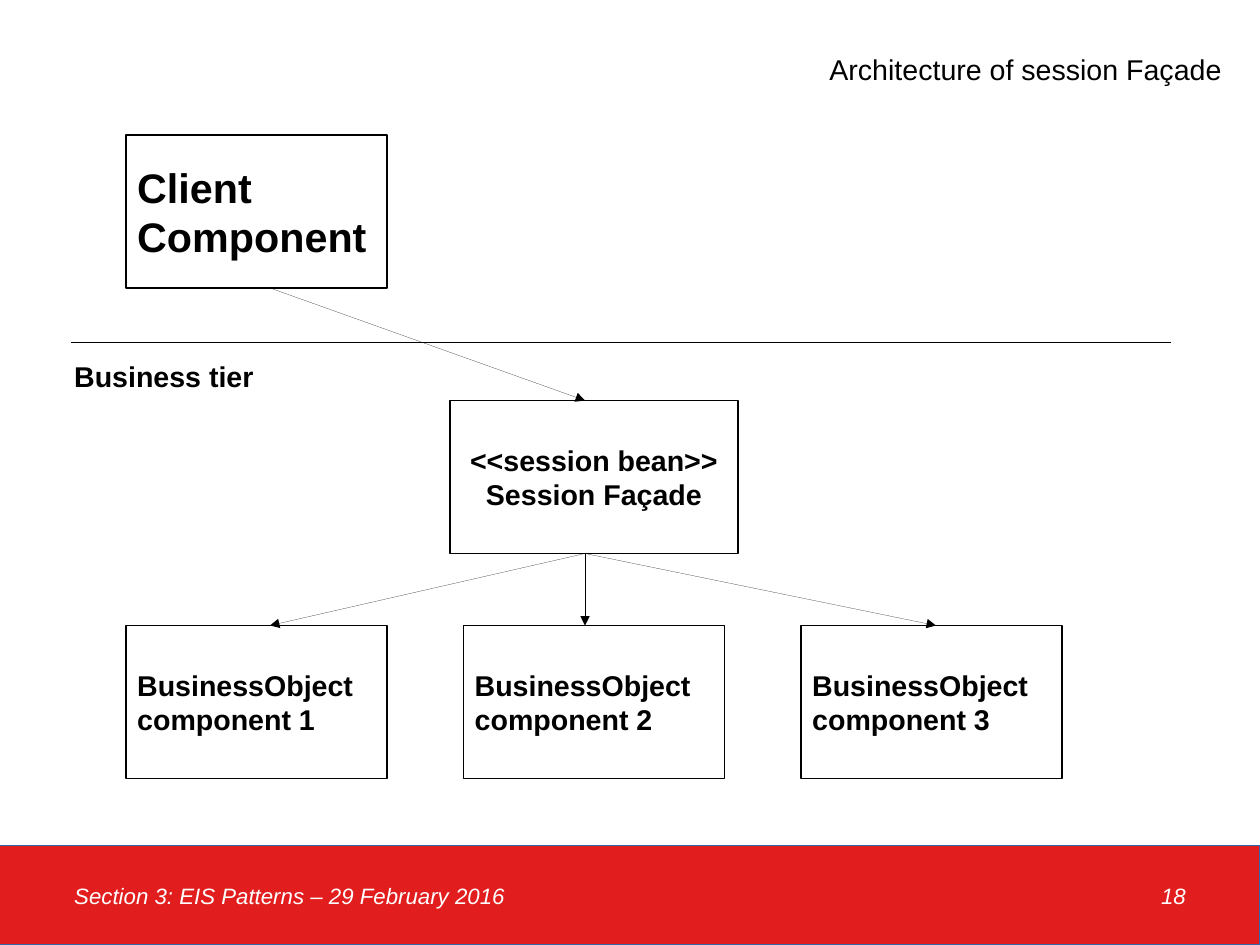
import pptx
import pptx.util
import pptx.dml.color
import pptx.enum.shapes
import pptx.enum.text
import pptx.oxml.ns
import lxml.etree

PX = 9000  # EMU per px, a quarter of a millimetre
ALIGN = pptx.enum.text.PP_ALIGN
ANCHOR = pptx.enum.text.MSO_ANCHOR
BLACK, WHITE, RED, BLUE = "000000", "FFFFFF", "E11D1E", "3465A4"


def px(*lengths):
    return [pptx.util.Emu(n * PX) for n in lengths]


def color(value):
    return pptx.dml.color.RGBColor.from_string(value)


def write(sp, text, size, align=ALIGN.LEFT, anchor=ANCHOR.TOP, wrap=True,
          ink=BLACK, **style):
    """Line feeds start paragraphs, vertical tabs break lines."""
    tf = sp.text_frame
    tf.text = text
    tf.word_wrap, tf.vertical_anchor = wrap, anchor
    font = {"name": "Arial", "size": pptx.util.Pt(size), **style}
    for p in tf.paragraphs:
        p.alignment = align
        for r in p.runs:
            for key, value in font.items():
                setattr(r.font, key, value)
            r.font.color.rgb = color(ink)


def label(s, box, text, size, **style):
    write(s.shapes.add_textbox(*px(*box)), text, size, **style)


def stroke(sp, ink, width):
    """The width is written even when it is 0, a hairline."""
    sp.line.color.rgb = color(ink)
    ln = sp.line._get_or_add_ln()
    ln.set("w", str(pptx.util.Pt(width)))
    return ln


def rect(s, box, fill, ink, width):
    sp = s.shapes.add_shape(pptx.enum.shapes.MSO_SHAPE.RECTANGLE, *px(*box))
    sp.shadow.inherit = False
    sp.fill.solid()
    sp.fill.fore_color.rgb = color(fill)
    stroke(sp, ink, width)
    return sp


def component(s, box, text, size=18, align=ALIGN.LEFT):
    sp = rect(s, box, WHITE, BLACK, 0.79)
    write(sp, text, size, align, ANCHOR.MIDDLE, wrap=False, bold=True)


def line(s, start, end, arrow=False):
    c = s.shapes.add_connector(pptx.enum.shapes.MSO_CONNECTOR.STRAIGHT,
                               *px(*start, *end))
    ln = stroke(c, BLACK, 0)
    qn = pptx.oxml.ns.qn
    if arrow:
        lxml.etree.SubElement(ln, qn("a:tailEnd"), type="triangle")
    lxml.etree.SubElement(c._element.spPr, qn("a:effectLst"))


def footer(s, x, y, w, h):
    rect(s, (x, y, w, h), RED, BLUE, 0)
    style = {"anchor": ANCHOR.MIDDLE, "ink": WHITE, "italic": True}
    label(s, (x + 713, y, 351, h), "18", 14, align=ALIGN.RIGHT, **style)
    label(s, (x + 56, y, 632, h),
          "Section 3: EIS Patterns – 29 February 2016", 14, **style)


def client_tier(s, x, y, w, h):
    component(s, (x, y, w, h), "Client \vComponent", 26)


def business_tier(s, x, y, w, h):
    box_w, box_h, step = 232, 136, 300
    facade_y, row_y = y + 52, y + h - box_h

    # Session facade
    component(s, (x + 344, facade_y, 256, box_h),
              "<<session bean>>\nSession Façade", align=ALIGN.CENTER)

    # Row of business objects along the bottom
    for i in range(3):
        component(s, (x + 56 + i * step, row_y, box_w, box_h),
                  f"BusinessObject\vcomponent {i + 1}")

    # Tier boundary
    line(s, (x + 8, y), (x + w, y))
    label(s, (x, y + 10, 180, 39), "Business tier", 18, wrap=False, bold=True)

    # Calls into and out of the facade
    hub, client = x + 464, x + 184
    line(s, (client, y - 48), (hub, facade_y), arrow=True)
    for target in (client, hub, x + 776):
        line(s, (hub, facade_y + box_h), (target, row_y), arrow=True)


def main():
    prs = pptx.Presentation()
    prs.slide_width, prs.slide_height = px(1120, 840)
    s = prs.slides.add_slide(prs.slide_layouts[6])
    footer(s, 0, 752, 1120, 88)
    client_tier(s, 112, 120, 232, 136)
    business_tier(s, 56, 304, 984, 388)
    label(s, (688, 41, 408, 67), "Architecture of session Façade", 18,
          align=ALIGN.RIGHT)
    prs.save("out.pptx")


if __name__ == "__main__":
    main()
